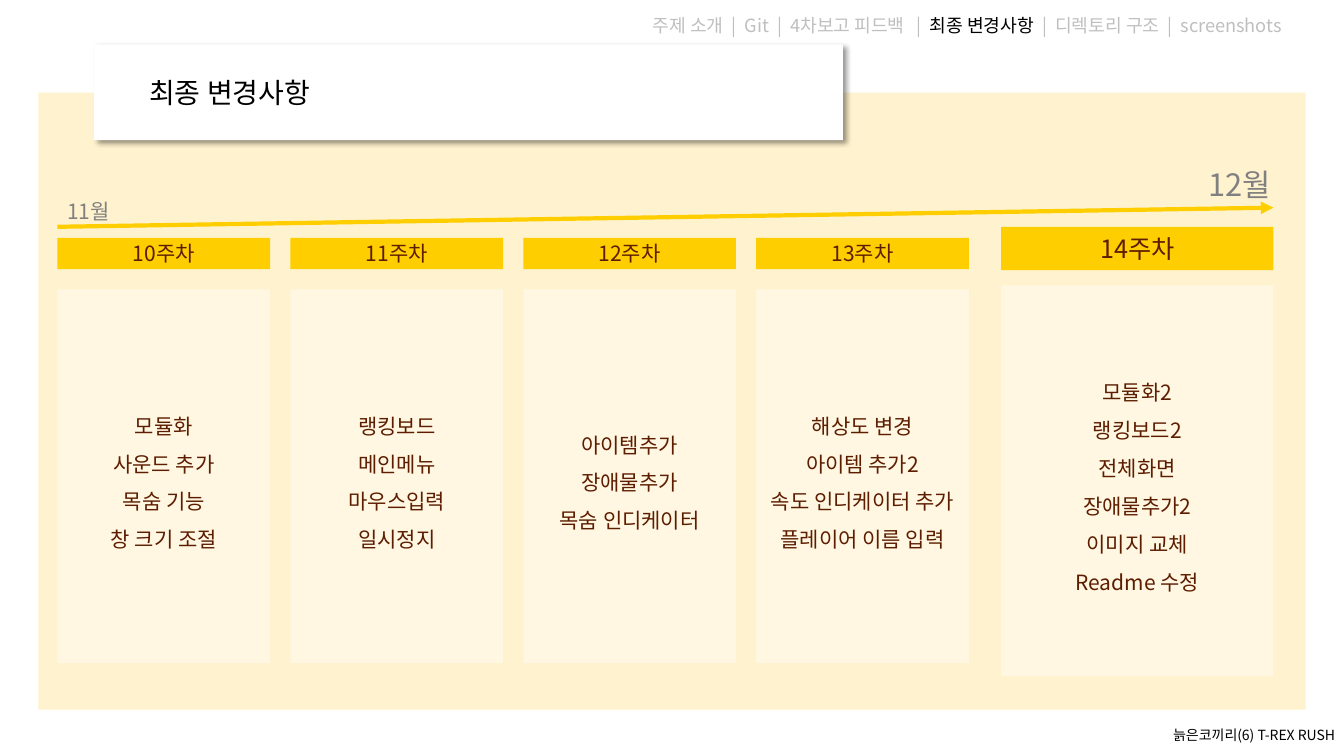
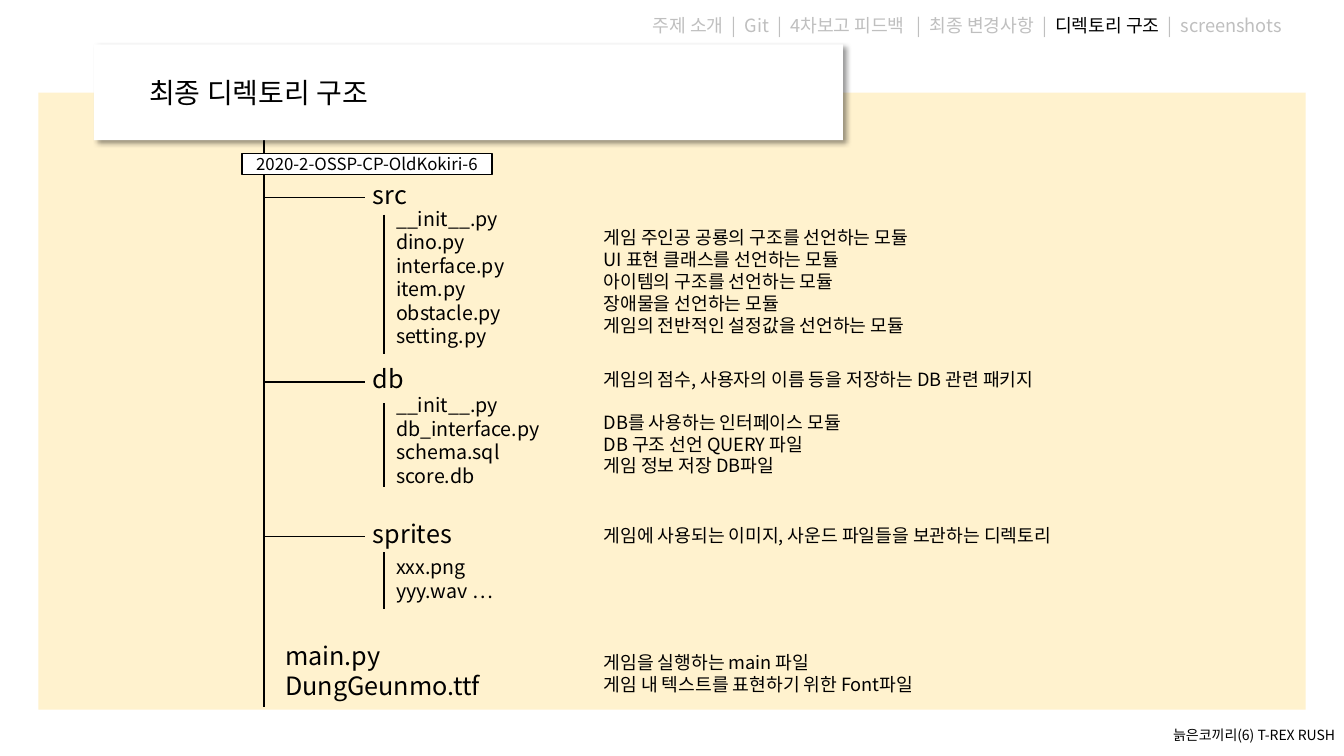
from dataclasses import dataclass

from lxml import etree
from pptx import Presentation
from pptx.dml.color import RGBColor
from pptx.enum.shapes import MSO_CONNECTOR, MSO_SHAPE
from pptx.enum.text import MSO_ANCHOR, MSO_AUTO_SIZE, PP_ALIGN
from pptx.oxml import parse_xml
from pptx.oxml.ns import nsdecls, qn
from pptx.util import Emu, Pt

RECT = MSO_SHAPE.RECTANGLE
STRAIGHT = MSO_CONNECTOR.STRAIGHT
LEFT, CENTER, RIGHT = PP_ALIGN.LEFT, PP_ALIGN.CENTER, PP_ALIGN.RIGHT
TOP, MIDDLE = MSO_ANCHOR.TOP, MSO_ANCHOR.MIDDLE
NO_FIT = MSO_AUTO_SIZE.NONE

EMU_PER_PX = 9144  # 100 px to the inch
FONT = "Noto Sans CJK KR"
COLORS = {
    "white": "FFFFFF",
    "black": "000000",
    "panel": "FFF2CC",
    "accent": "FECE00",
    "brown": "5D1D00",
    "muted": "808080",
    "inactive": "BFBFBF",
}
SECTIONS = ["주제 소개", "Git", "4차보고 피드백 ", "최종 변경사항", "디렉토리 구조", "screenshots"]
FOOTER = "늙은코끼리(6) T-REX RUSH"


@dataclass(frozen=True)
class Box:
    x: int
    y: int
    w: int
    h: int

    def emu(self) -> tuple[Emu, ...]:
        return tuple(px(n) for n in (self.x, self.y, self.w, self.h))


@dataclass(frozen=True)
class Week:
    name: str
    head: Box
    card: Box
    tasks: list[str]
    size: int = 15


@dataclass(frozen=True)
class Folder:
    name: str
    top: int
    files_top: int
    guide: tuple[int, int]
    files: list[str]


@dataclass(frozen=True)
class Note:
    top: int
    lines: list[str]


def px(n: int) -> Emu:
    return Emu(n * EMU_PER_PX)


def rgb(name: str) -> RGBColor:
    return RGBColor.from_string(COLORS[name])


# Text and shape helpers
def style(p, size: int, color: str, align=LEFT, spacing: float = 1) -> None:
    p.alignment = align
    p.line_spacing = Pt(round(size * 1.2 * spacing, 1))
    p.font.size = Pt(size)
    p.font.name = FONT
    p.font.color.rgb = rgb(color)
    etree.SubElement(p.font._element, qn("a:ea")).set("typeface", FONT)


def write(tf, lines: list[str], size: int, color: str, align=LEFT,
          anchor=TOP, spacing: float = 1) -> None:
    tf.word_wrap = True
    tf.auto_size = NO_FIT
    tf.vertical_anchor = anchor
    for i, line in enumerate(lines):
        p = tf.paragraphs[0] if i == 0 else tf.add_paragraph()
        p.text = line
        style(p, size, color, align, spacing)


def add_text(s, box: Box, lines: list[str], size: int, color: str = "black", align=LEFT) -> None:
    write(s.shapes.add_textbox(*box.emu()).text_frame, lines, size, color, align)


def add_rect(s, box: Box, fill: str, opacity: int = 100, outline: str = ""):
    sp = s.shapes.add_shape(RECT, *box.emu())
    sp.shadow.inherit = False
    sp.fill.solid()
    sp.fill.fore_color.rgb = rgb(fill)
    if opacity < 100:
        clr = sp._element.spPr.find(".//" + qn("a:srgbClr"))
        etree.SubElement(clr, qn("a:alpha")).set("val", str(opacity * 1000))
    if outline:
        sp.line.color.rgb = rgb(outline)
        sp.line.width = Pt(1)
    else:
        sp.line.fill.background()
    tf = sp.text_frame
    tf.margin_left = tf.margin_right = px(5)
    return sp


def add_line(s, x1: int, y1: int, x2: int, y2: int, color: str = "black",
             width: int = 1, arrow: bool = False) -> None:
    ln = s.shapes.add_connector(STRAIGHT, px(x1), px(y1), px(x2), px(y2))
    ln.line.color.rgb = rgb(color)
    ln.line.width = Pt(width)
    if arrow:
        etree.SubElement(ln.line._get_or_add_ln(), qn("a:tailEnd")).set("type", "triangle")
    etree.SubElement(ln._element.spPr, qn("a:effectLst"))


# Parts shared by the slides
def add_navigation(s, active: str) -> None:
    tf = s.shapes.add_textbox(*Box(57, 9, 1224, 32).emu()).text_frame
    write(tf, [""], 13, "inactive", RIGHT)
    p = tf.paragraphs[0]
    for i, section in enumerate(SECTIONS):
        if i:
            p.add_run().text = "  |  "
        r = p.add_run()
        r.text = section
        if section == active:
            r.font.color.rgb = rgb("black")


def add_base(prs, active: str):
    s = prs.slides.add_slide(prs.slide_layouts[5])
    add_rect(s, Box(38, 92, 1257, 612), "panel", 95)
    add_text(s, Box(527, 716, 807, 27), [FOOTER], 10, align=RIGHT)
    add_navigation(s, active)
    return s


def add_title(s, text: str) -> None:
    sp = s.shapes.title
    sp.left, sp.top, sp.width, sp.height = Box(93, 44, 743, 95).emu()
    sp.fill.solid()
    sp.fill.fore_color.rgb = rgb("white")
    sp._element.spPr.append(parse_xml(
        f'<a:effectLst {nsdecls("a")}><a:outerShdw blurRad="50800" dist="38100" dir="2700000" '
        f'algn="tl" rotWithShape="0"><a:srgbClr val="{COLORS["black"]}"><a:alpha val="40000"/>'
        '</a:srgbClr></a:outerShdw></a:effectLst>'))
    sp.text_frame.margin_left = px(55)
    write(sp.text_frame, [text], 20, "black", anchor=MIDDLE)
    s.shapes._spTree.append(sp._element)  # bring the title card to the front


# Slide 1: weekly timeline
TASKS = [
    ["모듈화", "사운드 추가", "목숨 기능", "창 크기 조절"],
    ["랭킹보드", "메인메뉴", "마우스입력", "일시정지"],
    ["아이템추가", "장애물추가", "목숨 인디케이터"],
    ["해상도 변경", "아이템 추가2", "속도 인디케이터 추가", "플레이어 이름 입력"],
]
WEEKS = [
    Week(f"{10 + i}주차", Box(57 + 231 * i, 236, 211, 31), Box(57 + 231 * i, 287, 211, 371), tasks)
    for i, tasks in enumerate(TASKS)
] + [
    Week("14주차", Box(993, 225, 270, 43), Box(993, 283, 270, 388),
         ["모듈화2", "랭킹보드2", "전체화면", "장애물추가2", "이미지 교체", "Readme 수정"], 18),
]


def add_week(s, week: Week) -> None:
    head = add_rect(s, week.head, "accent")
    write(head.text_frame, [week.name], week.size, "brown", CENTER, MIDDLE)
    card = add_rect(s, week.card, "white", 41)
    write(card.text_frame, week.tasks, 15, "brown", CENTER, MIDDLE, 1.5)


def build_changes(prs) -> None:
    s = add_base(prs, "최종 변경사항")
    for week in WEEKS:
        add_week(s, week)
    add_line(s, 57, 225, 1263, 206, "accent", 3, arrow=True)
    add_text(s, Box(57, 192, 144, 35), ["11월"], 15, "muted")
    add_text(s, Box(1189, 159, 144, 47), ["12월"], 22, "muted")
    add_title(s, "최종 변경사항")


# Slide 2: directory tree
TRUNK_X, GUIDE_X, NOTE_X = 262, 381, 589
FOLDERS = [
    Folder("src", 173, 200, (213, 351),
           ["__init__.py", "dino.py", "interface.py", "item.py", "obstacle.py", "setting.py"]),
    Folder("db", 356, 385, (400, 483),
           ["__init__.py", "db_interface.py", "schema.sql", "score.db"]),
    Folder("sprites", 509, 546, (548, 604), ["xxx.png", "yyy.wav …"]),
]
NOTES = [
    Note(220, ["게임 주인공 공룡의 구조를 선언하는 모듈", "UI 표현 클래스를 선언하는 모듈",
               "아이템의 구조를 선언하는 모듈", "장애물을 선언하는 모듈",
               "게임의 전반적인 설정값을 선언하는 모듈"]),
    Note(360, ["게임의 점수, 사용자의 이름 등을 저장하는 DB 관련 패키지"]),
    Note(403, ["DB를 사용하는 인터페이스 모듈", "DB 구조 선언 QUERY 파일", "게임 정보 저장 DB파일"]),
    Note(515, ["게임에 사용되는 이미지, 사운드 파일들을 보관하는 디렉토리"]),
    Note(641, ["게임을 실행하는 main 파일", "게임 내 텍스트를 표현하기 위한 Font파일"]),
]


def add_folder(s, folder: Folder) -> None:
    branch_y = folder.top + 23
    add_line(s, TRUNK_X, branch_y, TRUNK_X + 100, branch_y)
    add_text(s, Box(360, folder.top, 138, 40), [folder.name], 18)
    add_line(s, GUIDE_X, folder.guide[0], GUIDE_X, folder.guide[1])
    add_text(s, Box(383, folder.files_top, 187, 10 + 24 * len(folder.files)), folder.files, 14)


def build_directory(prs) -> None:
    s = add_base(prs, "디렉토리 구조")
    add_line(s, TRUNK_X, 117, TRUNK_X, 701)
    for folder in FOLDERS:
        add_folder(s, folder)
    add_text(s, Box(273, 630, 219, 71), ["main.py", "DungGeunmo.ttf"], 18)
    root = add_rect(s, Box(240, 152, 248, 21), "white", outline="black")
    write(root.text_frame, ["2020-2-OSSP-CP-OldKokiri-6"], 12, "black", CENTER, MIDDLE)
    for note in NOTES:
        add_text(s, Box(NOTE_X, note.top, 564, 10 + 22 * len(note.lines)), note.lines, 13)
    add_title(s, "최종 디렉토리 구조")


def main() -> None:
    prs = Presentation()
    prs.slide_width, prs.slide_height = px(1333), px(750)
    build_changes(prs)
    build_directory(prs)
    prs.save("out.pptx")


if __name__ == "__main__":
    main()
